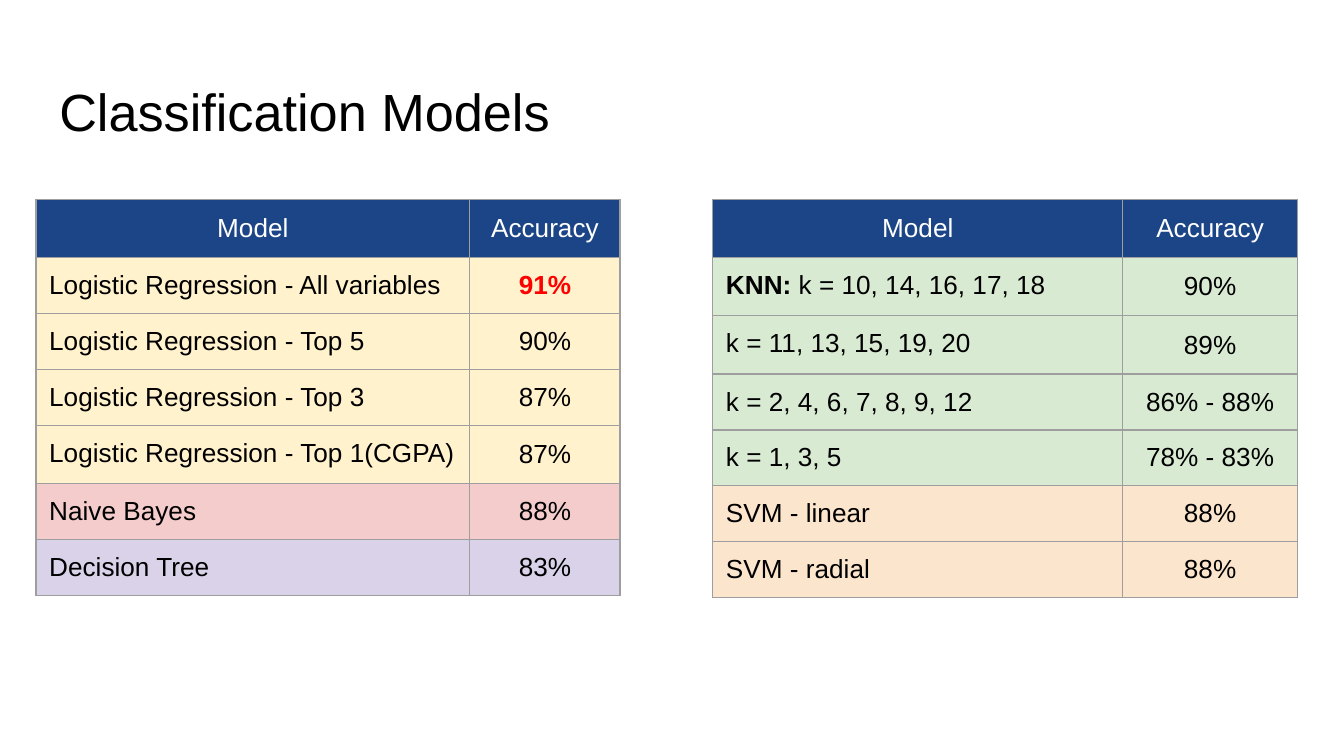
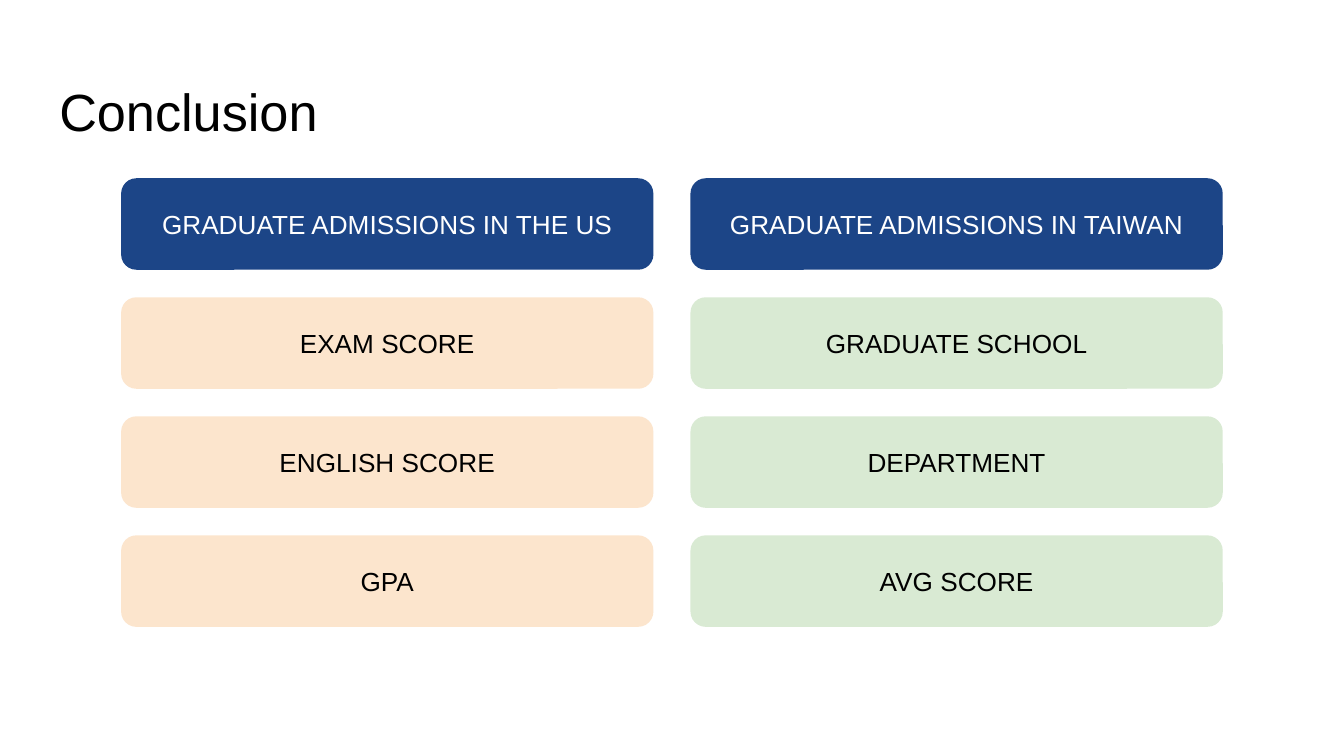
from itertools import accumulate

from lxml.etree import SubElement
from pptx import Presentation
from pptx.dml.color import RGBColor
from pptx.enum.shapes import MSO_SHAPE
from pptx.enum.text import MSO_ANCHOR, MSO_AUTO_SIZE, PP_ALIGN
from pptx.oxml.ns import qn
from pptx.util import Cm, Pt

FONT = "Arial"
BLACK, WHITE, RED = "000000", "FFFFFF", "FF0000"
NAVY, GREY = "1C4587", "9E9E9E"
YELLOW, PINK, LILAC = "FFF2CC", "F4CCCC", "D9D2E9"
GREEN, PEACH = "D9EAD3", "FCE5CD"
MARGIN = Cm(0.25)
TALL, SHORT = 1.1, 0.9


def rgb(value):
    """Turn a hex string into a colour."""
    return RGBColor.from_string(value)


def paint(obj, color):
    """Give a shape or cell a solid fill."""
    obj.fill.solid()
    obj.fill.fore_color.rgb = rgb(color)


def style_run(r, color=BLACK, size=14, bold=False):
    """Format one run."""
    r.font.name = FONT
    r.font.size = Pt(size)
    r.font.bold = bold
    r.font.color.rgb = rgb(color)


def write(tf, text, color=BLACK, size=14, align=PP_ALIGN.CENTER):
    """Set a one-paragraph text and its format."""
    tf.text = text
    p = tf.paragraphs[0]
    p.alignment = align
    style_run(p.runs[0], color, size)


def set_margins(obj):
    """Apply the shared inner margin to all four sides."""
    obj.margin_left = obj.margin_right = MARGIN
    obj.margin_top = obj.margin_bottom = MARGIN


def add_titled_slide(prs, title):
    """Add a title-only slide with the shared title style."""
    s = prs.slides.add_slide(prs.slide_layouts[5])
    sp = s.shapes.title
    sp.left, sp.top, sp.width, sp.height = Cm(0.87), Cm(1.24), Cm(23.67), Cm(1.6)
    tf = sp.text_frame
    write(tf, title, size=28, align=PP_ALIGN.LEFT)
    tf.auto_size = MSO_AUTO_SIZE.NONE
    tf.word_wrap = True
    tf.vertical_anchor = MSO_ANCHOR.TOP
    set_margins(tf)
    return s


def add_borders(cell):
    """Draw a thin grey line on each side of a cell."""
    tcPr = cell._tc.get_or_add_tcPr()
    for side in ("lnL", "lnR", "lnT", "lnB"):
        ln = SubElement(tcPr, qn(f"a:{side}"), w=str(Pt(0.75)))
        fill = SubElement(ln, qn("a:solidFill"))
        SubElement(fill, qn("a:srgbClr"), val=GREY)


def add_model_table(s, left, widths, heights, rows):
    """Add a table of models and accuracies with one fill per row."""
    rows = [("Model", "Accuracy", NAVY)] + rows
    frame = s.shapes.add_table(len(rows), 2, Cm(left), Cm(3.77),
                               Cm(sum(widths)), Cm(sum(heights)))
    tbl = frame.table
    tbl.first_row = tbl.horz_banding = False
    for col, width in zip(tbl.columns, widths):
        col.width = Cm(width)
    for i, (height, (*texts, fill)) in enumerate(zip(heights, rows)):
        tbl.rows[i].height = Cm(height)
        for j, text in enumerate(texts):
            cell = tbl.cell(i, j)
            is_name = i > 0 and j == 0
            add_borders(cell)
            paint(cell, fill)
            set_margins(cell)
            cell.vertical_anchor = MSO_ANCHOR.TOP if is_name else MSO_ANCHOR.MIDDLE
            write(cell.text_frame, text, BLACK if i else WHITE,
                  align=PP_ALIGN.LEFT if is_name else PP_ALIGN.CENTER)
    return tbl


def add_box(s, left, top, text, fill, color):
    """Add a rounded box with centred text."""
    sp = s.shapes.add_shape(MSO_SHAPE.ROUNDED_RECTANGLE, Cm(left), Cm(top),
                            Cm(10.06), Cm(1.73))
    sp.shadow.inherit = False
    paint(sp, fill)
    sp.line.fill.background()
    tf = sp.text_frame
    tf.word_wrap = True
    tf.vertical_anchor = MSO_ANCHOR.MIDDLE
    set_margins(tf)
    write(tf, text, color)


def add_box_column(s, left, header, items, fill):
    """Stack a navy header box and its items at equal steps."""
    tops = accumulate([3.37] + [2.25] * len(items))
    for i, (top, text) in enumerate(zip(tops, [header] + items)):
        add_box(s, left, top, text, fill if i else NAVY, BLACK if i else WHITE)


def build_models(prs):
    """Build the slide comparing the classification models."""
    s = add_titled_slide(prs, "Classification Models")
    tbl = add_model_table(
        s, 0.68, (8.2, 2.84), [TALL] + [SHORT] * 3 + [TALL] + [SHORT] * 2, [
            ("Logistic Regression - All variables", "91%", YELLOW),
            ("Logistic Regression - Top 5", "90%", YELLOW),
            ("Logistic Regression - Top 3", "87%", YELLOW),
            ("Logistic Regression - Top 1(CGPA)", "87%", YELLOW),
            ("Naive Bayes", "88%", PINK),
            ("Decision Tree", "83%", LILAC),
        ])
    best = tbl.cell(1, 1).text_frame.paragraphs[0].runs[0]
    style_run(best, RED, bold=True)

    tbl = add_model_table(
        s, 13.47, (7.75, 3.3), [TALL] * 3 + [SHORT] * 4, [
            ("KNN:", "90%", GREEN),
            ("k = 11, 13, 15, 19, 20", "89%", GREEN),
            ("k = 2, 4, 6, 7, 8, 9, 12", "86% - 88%", GREEN),
            ("k = 1, 3, 5", "78% - 83%", GREEN),
            ("SVM - linear", "88%", PEACH),
            ("SVM - radial", "88%", PEACH),
        ])
    p = tbl.cell(1, 0).text_frame.paragraphs[0]
    style_run(p.runs[0], bold=True)
    r = p.add_run()
    r.text = " k = 10, 14, 16, 17, 18"
    style_run(r)


def build_conclusion(prs):
    """Build the slide listing the deciding factors by country."""
    s = add_titled_slide(prs, "Conclusion")
    add_box_column(s, 2.29, "GRADUATE ADMISSIONS IN THE US",
                   ["EXAM SCORE", "ENGLISH SCORE", "GPA"], PEACH)
    add_box_column(s, 13.05, "GRADUATE ADMISSIONS IN TAIWAN",
                   ["GRADUATE SCHOOL", "DEPARTMENT", "AVG SCORE"], GREEN)


def main():
    """Build and save the presentation."""
    prs = Presentation()
    prs.slide_width, prs.slide_height = Cm(25.4), Cm(14.29)
    build_models(prs)
    build_conclusion(prs)
    prs.save("out.pptx")


if __name__ == "__main__":
    main()
